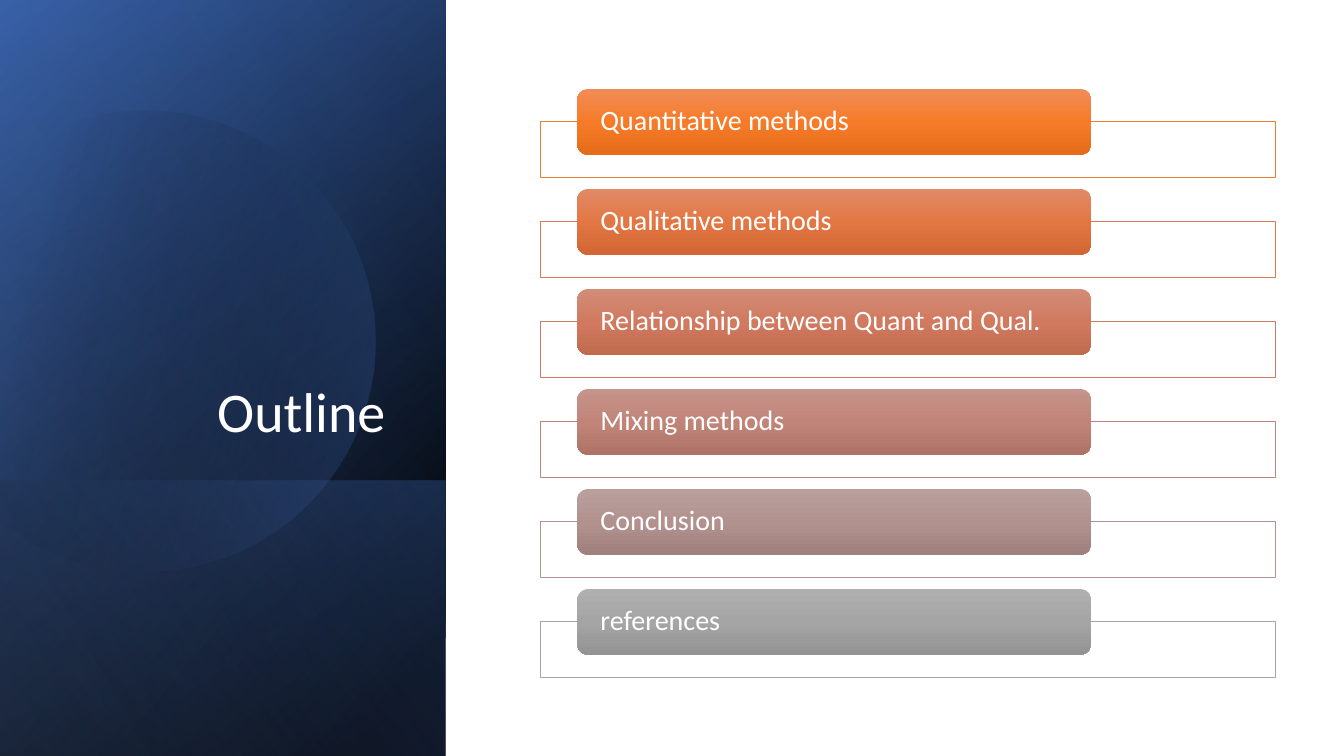
"""Build the outline slide: a dark gradient sidebar with the title and six topic bars."""
import itertools
import math
from dataclasses import dataclass

import pptx
import pptx.dml.color
import pptx.enum.shapes
import pptx.enum.text
import pptx.oxml.ns
import pptx.util
from lxml import etree

WIDTH = pptx.util.Inches(13.333)
HEIGHT = pptx.util.Inches(7.5)
SHAPES = pptx.enum.shapes.MSO_SHAPE
ALIGN = pptx.enum.text.PP_ALIGN
ANCHOR = pptx.enum.text.MSO_ANCHOR
qn = pptx.oxml.ns.qn

COLORS = {
    "white": "FFFFFF",
    "black": "000000",
    "blue": "4472C4",
    "deep blue": "2F5597",
    "pale blue": "8FAADC",
}


@dataclass(frozen=True)
class Stop:
    position: int
    color: str
    opacity: int = 100


@dataclass(frozen=True)
class Area:
    """Left, top, width and height in percent of the slide."""
    left: float
    top: float
    width: float
    height: float

    def emu(self) -> tuple[int, int, int, int]:
        return (across(self.left), down(self.top),
                across(self.width), down(self.height))


@dataclass(frozen=True)
class Panel:
    area: Area
    angle: int
    stops: tuple[Stop, ...]


@dataclass(frozen=True)
class Topic:
    label: str
    outline: str
    shades: tuple[str, str, str]


SIDEBAR = Area(0, 0, 33.15, 100)
SIDEBAR_FOOT = Area(0, 63.53, 33.15, 36.53)
TITLE = Area(4.78, 24.53, 25.58, 34.93)
FRAME = Area(40.2, 16.1, 54.68, 7.33)
BAR = Area(42.94, 11.78, 38.27, 8.67)
TOPIC_PITCH = 13.23

BACK_PANELS = (
    Panel(SIDEBAR, 50, (Stop(8, COLORS["black"]), Stop(100, COLORS["deep blue"]))),
    Panel(SIDEBAR, 30, (Stop(0, COLORS["black"], 0), Stop(99, COLORS["blue"], 46))),
    Panel(SIDEBAR_FOOT, 130, (Stop(2, COLORS["blue"], 29), Stop(100, COLORS["black"], 30))),
)
DISC_STOPS = (Stop(29, COLORS["black"], 0), Stop(100, COLORS["blue"], 43))
DISC_ANGLES = (-119, -90, 0, 90, 150)
SHEEN = Panel(SIDEBAR, 120, (Stop(0, COLORS["black"], 0), Stop(99, COLORS["pale blue"], 11)))

TOPICS = (
    Topic("Quantitative methods", "ED7D31", ("F18C57", "F67B28", "E56C19")),
    Topic("Qualitative methods", "DC7A4B", ("E18A66", "E37744", "D26734")),
    Topic("Relationship between Quant and Qual.", "CC7D64", ("D28C78", "D17A5F", "C06A4E")),
    Topic("Mixing methods", "BD867B", ("C5948B", "C18478", "AF7267")),
    Topic("Conclusion", "B09391", ("B9A09D", "B2928F", "A0807D")),
    Topic("references", "A5A5A5", ("AFAFAF", "A5A5A5", "939393")),
)


def across(percent: float) -> int:
    return round(WIDTH * percent / 100)


def down(percent: float) -> int:
    return round(HEIGHT * percent / 100)


def rgb(color: str) -> pptx.dml.color.RGBColor:
    return pptx.dml.color.RGBColor.from_string(color)


def set_opacity(color_element, percent: int) -> None:
    etree.SubElement(color_element, qn("a:alpha"), val=str(percent * 1000))


def fill_gradient(shape, angle: int, stops: tuple[Stop, ...]) -> None:
    shape.shadow.inherit = False
    shape.line.fill.background()
    shape.fill.gradient()
    shape.fill.gradient_angle = 360 - angle
    stop_list = shape._element.spPr.find(qn("a:gradFill")).find(qn("a:gsLst"))
    for old in list(stop_list):
        stop_list.remove(old)
    for stop in stops:
        entry = etree.SubElement(stop_list, qn("a:gs"), pos=str(stop.position * 1000))
        tone = etree.SubElement(entry, qn("a:srgbClr"), val=stop.color)
        if stop.opacity < 100:
            set_opacity(tone, stop.opacity)


def write(shape, text: str, *, size: int, align, anchor, side_inset: float) -> None:
    frame = shape.text_frame
    frame.word_wrap = True
    frame.auto_size = pptx.enum.text.MSO_AUTO_SIZE.NONE
    frame.vertical_anchor = anchor
    frame.margin_left = frame.margin_right = across(side_inset)
    paragraph = frame.paragraphs[0]
    paragraph.alignment = align
    paragraph.line_spacing = 0.9
    run = paragraph.add_run()
    run.text = text
    run.font.name = "Calibri"
    run.font.size = pptx.util.Pt(size)
    run.font.color.rgb = rgb(COLORS["white"])


def draw_panel(slide, panel: Panel) -> None:
    left, top, width, height = panel.area.emu()
    shift = (width - height) // 2
    tile = slide.shapes.add_shape(SHAPES.RECTANGLE, left + shift, top - shift, height, width)
    tile.rotation = 90
    tile._element.spPr.find(qn("a:xfrm")).set("flipH", "1")
    fill_gradient(tile, panel.angle, panel.stops)


def rim_point(degree: float, handle: float = 0) -> tuple[int, int]:
    """Return a point of the disc's rim, moved along its tangent by a share of the radius."""
    cos, sin = math.cos(math.radians(degree)), math.sin(math.radians(degree))
    radius = down(30.47)
    return (round(across(10.76) + radius * (cos - handle * sin)),
            round(down(44.6) + radius * (sin + handle * cos)))


def draw_disc(slide) -> None:
    points = []
    for start, end in itertools.pairwise(DISC_ANGLES):
        handle = 4 / 3 * math.tan(math.radians(end - start) / 4)
        points += [rim_point(start, handle), rim_point(end, -handle), rim_point(end)]
    builder = slide.shapes.build_freeform(*rim_point(DISC_ANGLES[0]))
    builder.add_line_segments(points, close=True)
    disc = builder.convert_to_shape()
    segments = list(disc._element.iter(qn("a:lnTo")))
    for first in range(0, len(segments), 3):
        curve = etree.Element(qn("a:cubicBezTo"))
        segments[first].addprevious(curve)
        for segment in segments[first:first + 3]:
            curve.append(segment[0])
            segment.getparent().remove(segment)
    disc.rotation = 343.9
    fill_gradient(disc, 30, DISC_STOPS)


def draw_topic(slide, topic: Topic, row: int) -> None:
    offset = down(row * TOPIC_PITCH)
    left, top, width, height = FRAME.emu()
    frame = slide.shapes.add_shape(SHAPES.RECTANGLE, left, top + offset, width, height)
    frame.shadow.inherit = False
    frame.fill.solid()
    frame.fill.fore_color.rgb = rgb(COLORS["white"])
    set_opacity(frame._element.spPr.find(qn("a:solidFill"))[0], 90)
    frame.line.color.rgb = rgb(topic.outline)
    frame.line.width = pptx.util.Pt(0.5)

    left, top, width, height = BAR.emu()
    bar = slide.shapes.add_shape(SHAPES.ROUNDED_RECTANGLE, left, top + offset, width, height)
    fill_gradient(bar, 90, tuple(Stop(50 * i, shade) for i, shade in enumerate(topic.shades)))
    write(bar, topic.label, size=20, align=ALIGN.LEFT, anchor=ANCHOR.MIDDLE, side_inset=1.5)


def main() -> None:
    deck = pptx.Presentation()
    deck.slide_width, deck.slide_height = WIDTH, HEIGHT
    slide = deck.slides.add_slide(deck.slide_layouts[5])

    for panel in BACK_PANELS:
        draw_panel(slide, panel)
    draw_disc(slide)
    draw_panel(slide, SHEEN)

    heading = slide.shapes.title
    heading.left, heading.top, heading.width, heading.height = TITLE.emu()
    write(heading, "Outline ", size=40, align=ALIGN.RIGHT, anchor=ANCHOR.BOTTOM, side_inset=0.75)
    slide.shapes._spTree.append(heading._element)

    for row, topic in enumerate(TOPICS):
        draw_topic(slide, topic, row)
    deck.save("out.pptx")


if __name__ == "__main__":
    main()
